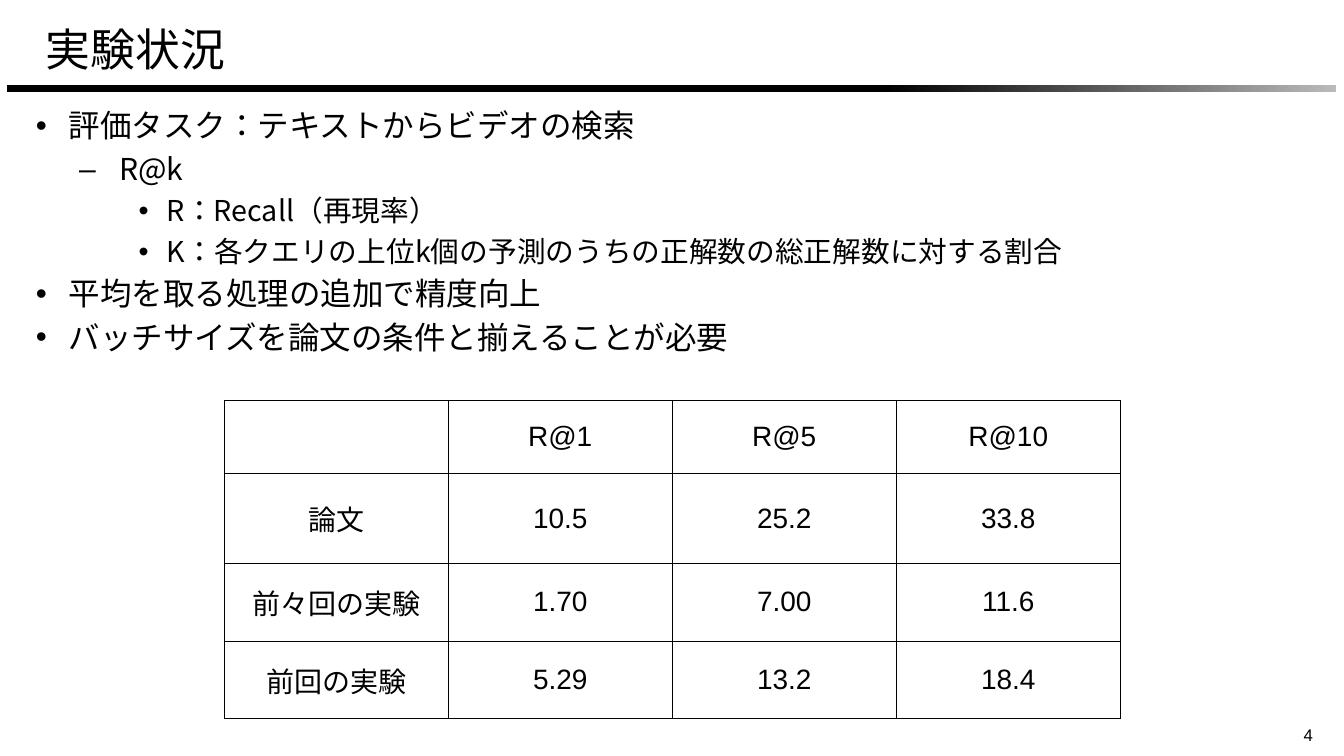
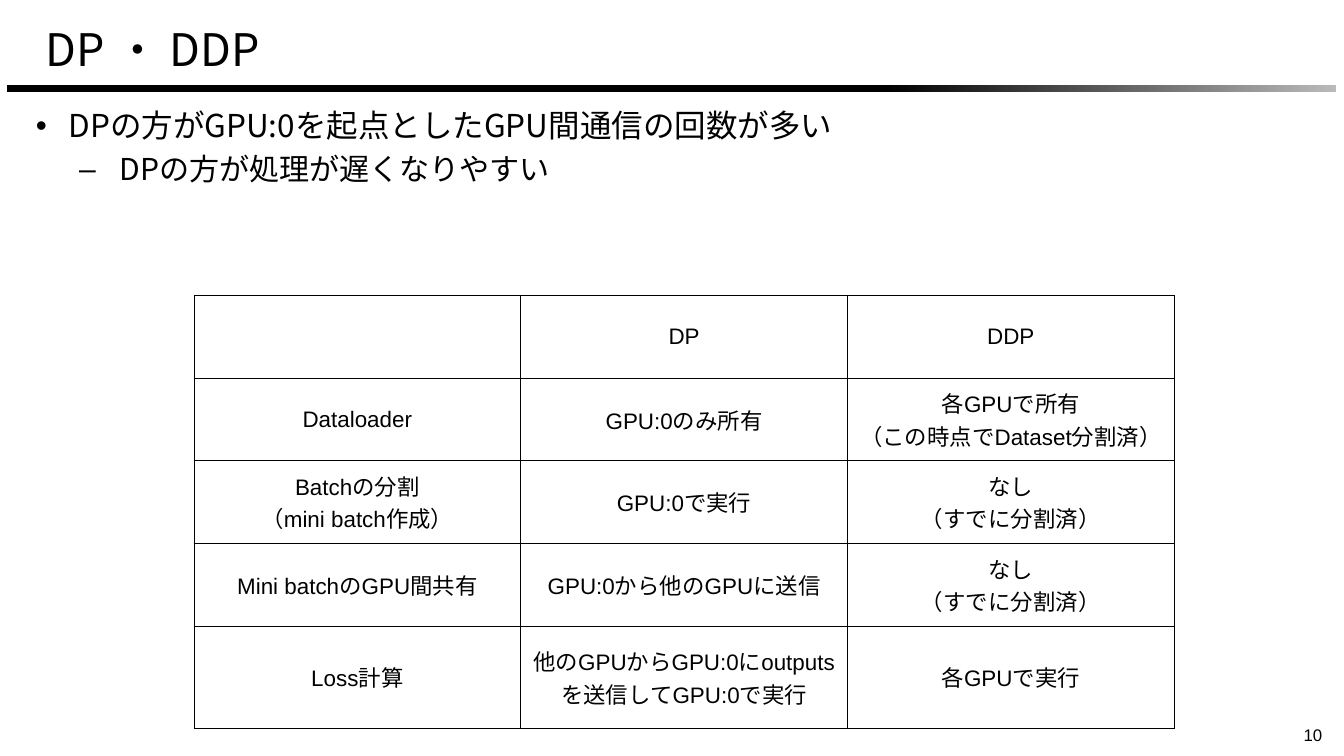
from copy import deepcopy
from dataclasses import dataclass

from lxml import etree
from pptx import Presentation, util as u
from pptx.dml.color import RGBColor
from pptx.enum import lang, shapes, text
from pptx.oxml.ns import qn


@dataclass(frozen=True)
class Theme:
    ink: RGBColor = RGBColor(0, 0, 0)
    fade: RGBColor = RGBColor(0xBA, 0xBA, 0xBA)
    paper: RGBColor = RGBColor(0xFF, 0xFF, 0xFF)
    latin: str = "Arial"
    japanese: str = "Noto Sans CJK JP"
    title_size: int = 64
    number_size: int = 24
    paragraph_gap: int = 14
    line_spacing: float = 0.9
    border_width: float = 1


@dataclass(frozen=True)
class Level:
    margin: float
    indent: float
    mark: str
    size: int


@dataclass(frozen=True)
class Bullet:
    words: str
    level: int = 0


@dataclass(frozen=True)
class Grid:
    left: float
    top: float
    width: float
    row_heights: list[float]
    size: int
    rows: list[list[str]]


@dataclass(frozen=True)
class Topic:
    title: str
    number: int
    bullets: list[Bullet]
    grid: Grid


THEME = Theme()
LEVELS = [
    Level(0.69, -0.65, "•", 45),
    Level(1.7, -0.8, "–", 43),
    Level(2.64, -0.56, "•", 41),
]
TOPICS = [
    Topic(
        "実験状況",
        4,
        [
            Bullet("評価タスク：テキストからビデオの検索"),
            Bullet("R@k", 1),
            Bullet("R：Recall（再現率）", 2),
            Bullet("K：各クエリの上位k個の予測のうちの正解数の総正解数に対する割合", 2),
            Bullet("平均を取る処理の追加で精度向上"),
            Bullet("バッチサイズを論文の条件と揃えることが必要"),
        ],
        Grid(4.45, 7.95, 17.78, [1.45, 1.78, 1.54, 1.54], 40, [
            ["", "R@1", "R@5", "R@10"],
            ["論文", "10.5", "25.2", "33.8"],
            ["前々回の実験", "1.70", "7.00", "11.6"],
            ["前回の実験", "5.29", "13.2", "18.4"],
        ]),
    ),
    Topic(
        "DP ・ DDP",
        10,
        [
            Bullet("DPの方がGPU:0を起点としたGPU間通信の回数が多い"),
            Bullet("DPの方が処理が遅くなりやすい", 1),
        ],
        Grid(3.85, 5.86, 19.45, [1.64] * 4 + [2.03], 32, [
            ["", "DP", "DDP"],
            ["Dataloader", "GPU:0のみ所有", "各GPUで所有\n（この時点でDataset分割済）"],
            ["Batchの分割\n（mini batch作成）", "GPU:0で実行", "なし\n（すでに分割済）"],
            ["Mini batchのGPU間共有", "GPU:0から他のGPUに送信", "なし\n（すでに分割済）"],
            ["Loss計算", "他のGPUからGPU:0にoutputsを送信してGPU:0で実行", "各GPUで実行"],
        ]),
    ),
]


def add_span(para, words: str, size: int, font: str) -> None:
    span = para.add_run()
    span.text = words
    span.font.size = u.Pt(size)
    span.font.name = font
    span.font.color.rgb = THEME.ink
    span.font.language_id = lang.MSO_LANGUAGE_ID.JAPANESE
    etree.SubElement(span.font._element, qn("a:ea"), typeface=THEME.japanese)


def indent(para, margin: float, first: float):
    properties = para._p.get_or_add_pPr()
    properties.set("marL", str(u.Inches(margin)))
    properties.set("indent", str(u.Inches(first)))
    return properties


def add_box(page, left: float, top: float, width: float, height: float, inset: float):
    box = page.shapes.add_textbox(*map(u.Inches, (left, top, width, height)))
    frame = box.text_frame
    frame.word_wrap = True
    frame.margin_left = frame.margin_right = u.Inches(inset)
    frame.margin_top = frame.margin_bottom = u.Inches(inset)
    return frame


def add_band(page) -> None:
    band = page.shapes.add_shape(
        shapes.MSO_SHAPE.RECTANGLE, *map(u.Inches, (0.14, 1.68, 26.38, 0.14)))
    band.shadow.inherit = False
    band.line.fill.background()
    band.fill.gradient()
    band.fill.gradient_angle = 0
    stop_list = band.element.find(".//" + qn("a:gsLst"))
    stop_list.append(deepcopy(stop_list[0]))
    colours = [(0, THEME.ink), (0.66, THEME.ink), (1, THEME.fade)]
    for stop, (position, colour) in zip(band.fill.gradient_stops, colours):
        stop.position = position
        stop.color.rgb = colour


def add_title(page, words: str) -> None:
    frame = add_box(page, 0.87, 0.14, 21.93, 1.65, 0)
    frame.vertical_anchor = text.MSO_ANCHOR.MIDDLE
    indent(frame.paragraphs[0], 0, 0.04)
    add_span(frame.paragraphs[0], words, THEME.title_size, THEME.japanese)


def add_number(page, number: int) -> None:
    frame = add_box(page, 25.77, 14.33, 0.58, 0.58, 0.05)
    frame.margin_left = u.Inches(0.1)
    frame.word_wrap = False
    add_span(frame.paragraphs[0], str(number), THEME.number_size, THEME.latin)


def add_bullets(page, bullets: list[Bullet]) -> None:
    frame = add_box(page, 0.56, 2.08, 26.02, 12.85, 0.11)
    for index, bullet in enumerate(bullets):
        para = frame.add_paragraph() if index else frame.paragraphs[0]
        level = LEVELS[bullet.level]
        para.level = bullet.level
        para.line_spacing = THEME.line_spacing
        para.space_before = u.Pt(THEME.paragraph_gap)
        properties = indent(para, level.margin, level.indent)
        etree.SubElement(properties, qn("a:buFont"), typeface=THEME.latin)
        etree.SubElement(properties, qn("a:buChar"), char=level.mark)
        add_span(para, bullet.words, level.size, THEME.japanese)


def style_cell(cell) -> None:
    cell.vertical_anchor = text.MSO_ANCHOR.MIDDLE
    properties = cell._tc.get_or_add_tcPr()
    for side in ("lnL", "lnR", "lnT", "lnB"):
        line = etree.SubElement(
            properties, qn(f"a:{side}"), w=str(u.Pt(THEME.border_width)))
        fill = etree.SubElement(line, qn("a:solidFill"))
        etree.SubElement(fill, qn("a:srgbClr"), val=str(THEME.ink))
    cell.fill.background()


def add_grid(page, grid: Grid) -> None:
    frame = page.shapes.add_table(
        len(grid.rows), len(grid.rows[0]),
        *map(u.Inches, (grid.left, grid.top, grid.width, sum(grid.row_heights))))
    table = frame.table
    table.first_row = table.horz_banding = False
    for row, height, entries in zip(table.rows, grid.row_heights, grid.rows):
        row.height = u.Inches(height)
        for cell, entry in zip(row.cells, entries):
            style_cell(cell)
            for index, words in enumerate(entry.splitlines()):
                lines = cell.text_frame
                para = lines.add_paragraph() if index else lines.paragraphs[0]
                para.alignment = text.PP_ALIGN.CENTER
                add_span(para, words, grid.size, THEME.latin)


def add_page(deck, topic: Topic) -> None:
    page = deck.slides.add_slide(deck.slide_layouts[6])
    page.background.fill.solid()
    page.background.fill.fore_color.rgb = THEME.paper
    add_band(page)
    add_number(page, topic.number)
    add_title(page, topic.title)
    add_bullets(page, topic.bullets)
    add_grid(page, topic.grid)


def main() -> None:
    deck = Presentation()
    deck.slide_width = u.Inches(26.67)
    deck.slide_height = u.Inches(15)
    for topic in TOPICS:
        add_page(deck, topic)
    deck.save("out.pptx")


if __name__ == "__main__":
    main()
